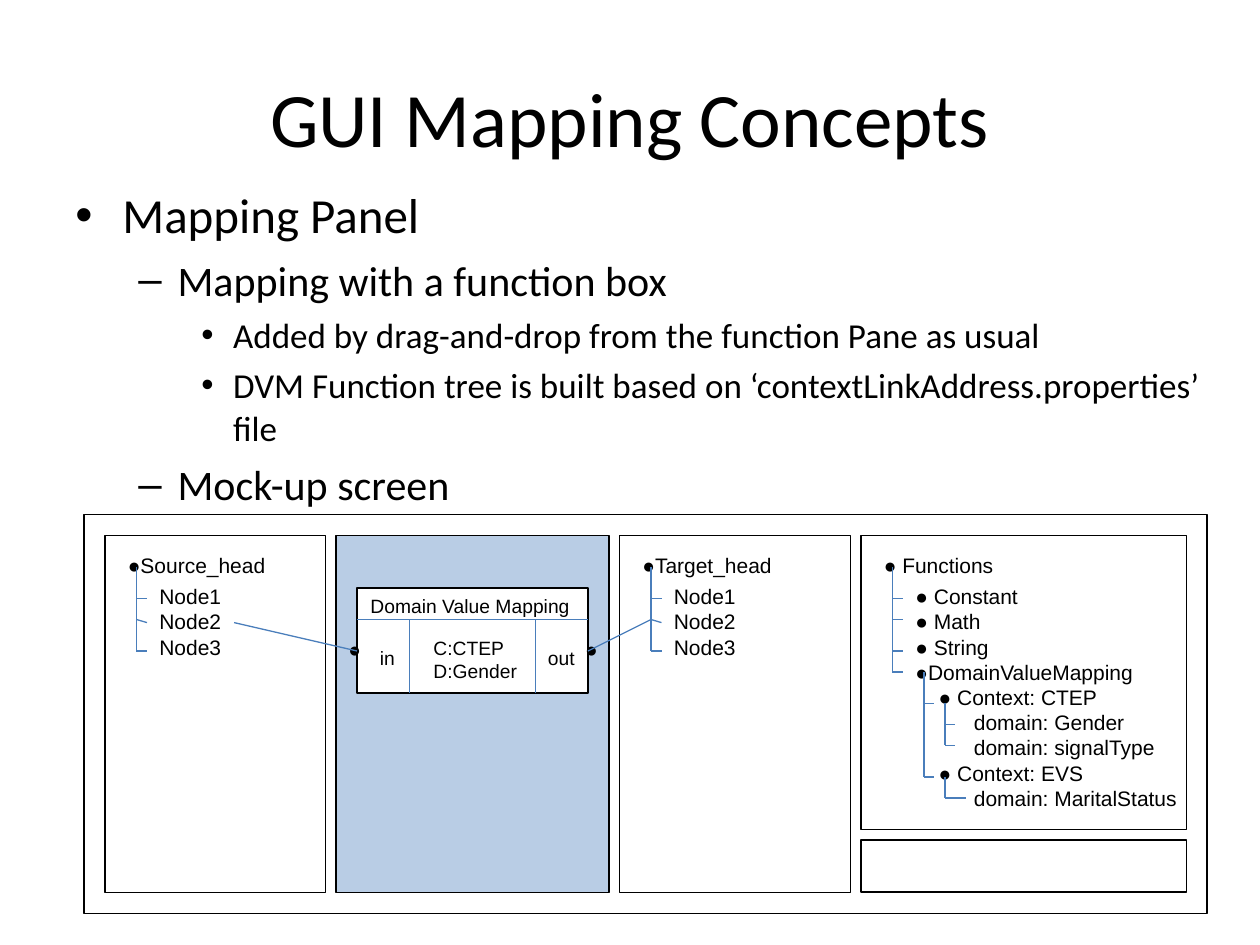
from lxml import etree
from pptx import Presentation
from pptx.dml.color import RGBColor
from pptx.enum.shapes import MSO_CONNECTOR, MSO_SHAPE
from pptx.enum.text import MSO_ANCHOR, MSO_AUTO_SIZE, PP_ALIGN
from pptx.oxml.ns import qn
from pptx.util import Cm, Pt

RECTANGLE = MSO_SHAPE.RECTANGLE
STRAIGHT = MSO_CONNECTOR.STRAIGHT
MIDDLE = MSO_ANCHOR.MIDDLE
FIT_SHAPE = MSO_AUTO_SIZE.SHAPE_TO_FIT_TEXT
LEFT, CENTER = PP_ALIGN.LEFT, PP_ALIGN.CENTER

BLACK = RGBColor(0x00, 0x00, 0x00)
WHITE = RGBColor(0xFF, 0xFF, 0xFF)
PALE_BLUE = RGBColor(0xB9, 0xCD, 0xE5)
LINE_BLUE = RGBColor(0x4A, 0x7E, 0xBB)

GRID_STEPS_PER_INCH = 12
OUTLINE_LEVELS = [
    ("•", 28, 7, 0.95, -0.95),
    ("–", 24, 6, 2.06, -0.79),
    ("•", 20, 5, 3.18, -0.64),
]
OUTLINE = [
    (0, "Mapping Panel"),
    (1, "Mapping with a function box"),
    (2, "Added by drag-and-drop from the function Pane as usual"),
    (2, "DVM Function tree is built based on ‘contextLinkAddress.properties’ file"),
    (1, "Mock-up screen"),
]
PANELS = [
    (8, 49, 107, 38, None),
    (10, 51, 21, 34, None),
    (32, 51, 26, 34, PALE_BLUE),
    (59, 51, 22, 34, None),
    (82, 51, 31, 28, None),
    (82, 80, 31, 5, None),
]
NODES = ["Node1", "Node2", "Node3"]
FUNCTION_TREE = [
    ("● Constant", 0),
    ("● Math", 0),
    ("● String", 0),
    ("●DomainValueMapping", 0),
    ("● Context: CTEP", 0.47),
    ("domain: Gender", 1.18),
    ("domain: signalType", 1.18),
    ("● Context: EVS", 0.47),
    ("domain: MaritalStatus", 1.18),
]
FUNCTION_BRANCHES = [
    (85, 54, [(57, 86), (59, 86), (62, 86), (64, 86)]),
    (88, 64, [(67, 89), (74, 89)]),
    (90, 67, [(69, 91), (71, 91)]),
    (90, 74, [(76, 92)]),
]


def grid(steps):
    return Cm(steps * 2.54 / GRID_STEPS_PER_INCH)


def add_span(para, text, size, font):
    span = para.add_run()
    span.text = text
    span.font.size = Pt(size)
    span.font.name = font
    span.font.color.rgb = BLACK


def add_title(page, text):
    box = page.shapes.add_textbox(Cm(1.27), Cm(0.76), Cm(22.86), Cm(3.18))
    box.text_frame.word_wrap = True
    box.text_frame.vertical_anchor = MIDDLE
    para = box.text_frame.paragraphs[0]
    para.alignment = CENTER
    add_span(para, text, 44, "Calibri")


def set_bullet(para, symbol, margin, indent):
    properties = para._p.get_or_add_pPr()
    properties.set("marL", str(Cm(margin)))
    properties.set("indent", str(Cm(indent)))
    etree.SubElement(properties, qn("a:buFont"), typeface="Arial")
    etree.SubElement(properties, qn("a:buChar"), char=symbol)


def add_outline(page):
    box = page.shapes.add_textbox(Cm(1.27), Cm(3.6), Cm(23.29), Cm(6.78))
    frame = box.text_frame
    frame.word_wrap = True
    for index, (level, text) in enumerate(OUTLINE):
        symbol, size, gap, margin, indent = OUTLINE_LEVELS[level]
        para = frame.add_paragraph() if index else frame.paragraphs[0]
        para.level = level
        para.space_before = Pt(gap)
        set_bullet(para, symbol, margin, indent)
        add_span(para, text, size, "Calibri")


def add_panel(page, left, top, width, height, fill):
    panel = page.shapes.add_shape(
        RECTANGLE, grid(left), grid(top), grid(width), grid(height))
    panel.shadow.inherit = False
    if fill is None:
        panel.fill.background()
    else:
        panel.fill.solid()
        panel.fill.fore_color.rgb = fill
    panel.line.color.rgb = BLACK
    panel.line.width = Pt(1)


def add_label(page, left, top, width, lines, size=12, wrap=False):
    height = Cm(0.25 + len(lines) * size * 0.0425)
    box = page.shapes.add_textbox(grid(left), grid(top), grid(width), height)
    frame = box.text_frame
    frame.word_wrap = wrap
    frame.auto_size = FIT_SHAPE
    for index, (text, indent) in enumerate(lines):
        para = frame.add_paragraph() if index else frame.paragraphs[0]
        para.alignment = LEFT
        if indent:
            para._p.get_or_add_pPr().set("marL", str(Cm(indent)))
        add_span(para, text, size, "Arial")


def add_line(page, left, top, right, bottom):
    line = page.shapes.add_connector(
        STRAIGHT, grid(left), grid(top), grid(right), grid(bottom))
    line.line.color.rgb = LINE_BLUE
    line.line.width = Pt(0.75)
    etree.SubElement(line._element.spPr, qn("a:effectLst"))


def add_branch(page, trunk, top, twigs):
    add_line(page, trunk, top, trunk, twigs[-1][0])
    for level, end in twigs:
        add_line(page, trunk, level, end, level)


def add_node_tree(page, left, head, head_width):
    trunk = left + 2
    add_label(page, left, 52, head_width, [(head, 0)])
    add_label(page, left + 3, 55, 8.4, [(node, 0) for node in NODES])
    add_branch(page, trunk, 54, [(57, trunk + 1), (62, trunk + 1)])
    add_line(page, trunk, 59, trunk + 1, 59.3)


def add_function_pane(page):
    add_label(page, 83, 52, 13, [("● Functions", 0)])
    add_label(page, 86, 55, 28, FUNCTION_TREE, wrap=True)
    for trunk, top, twigs in FUNCTION_BRANCHES:
        add_branch(page, trunk, top, twigs)


def add_function_box(page):
    add_panel(page, 34, 56, 22, 10, WHITE)
    add_line(page, 34, 59, 56, 59)
    for divider in (39, 51):
        add_line(page, divider, 59, divider, 66)
    add_label(page, 34.1, 56, 21.7, [("Domain Value Mapping", 0)], 11)
    add_label(page, 40.1, 60, 10.8, [("C:CTEP", 0), ("D:Gender", 0)], 11)
    add_label(page, 35, 61, 4.2, [("in", 0)], 11)
    add_label(page, 51, 61, 5.4, [("out", 0)], 11)
    for port in (32, 54.55):
        add_label(page, port, 60, 3.6, [("●", 0)])
    add_line(page, 22.3, 59.3, 34, 62)
    add_line(page, 56, 62, 62, 59)


def main():
    deck = Presentation()
    deck.slide_width = Cm(25.4)
    deck.slide_height = Cm(19.05)
    page = deck.slides.add_slide(deck.slide_layouts[6])
    add_title(page, "GUI Mapping Concepts")
    add_outline(page)
    for panel in PANELS:
        add_panel(page, *panel)
    add_node_tree(page, 11, "●Source_head", 15.6)
    add_node_tree(page, 60, "●Target_head", 15)
    add_function_pane(page)
    add_function_box(page)
    deck.save("out.pptx")


if __name__ == "__main__":
    main()
